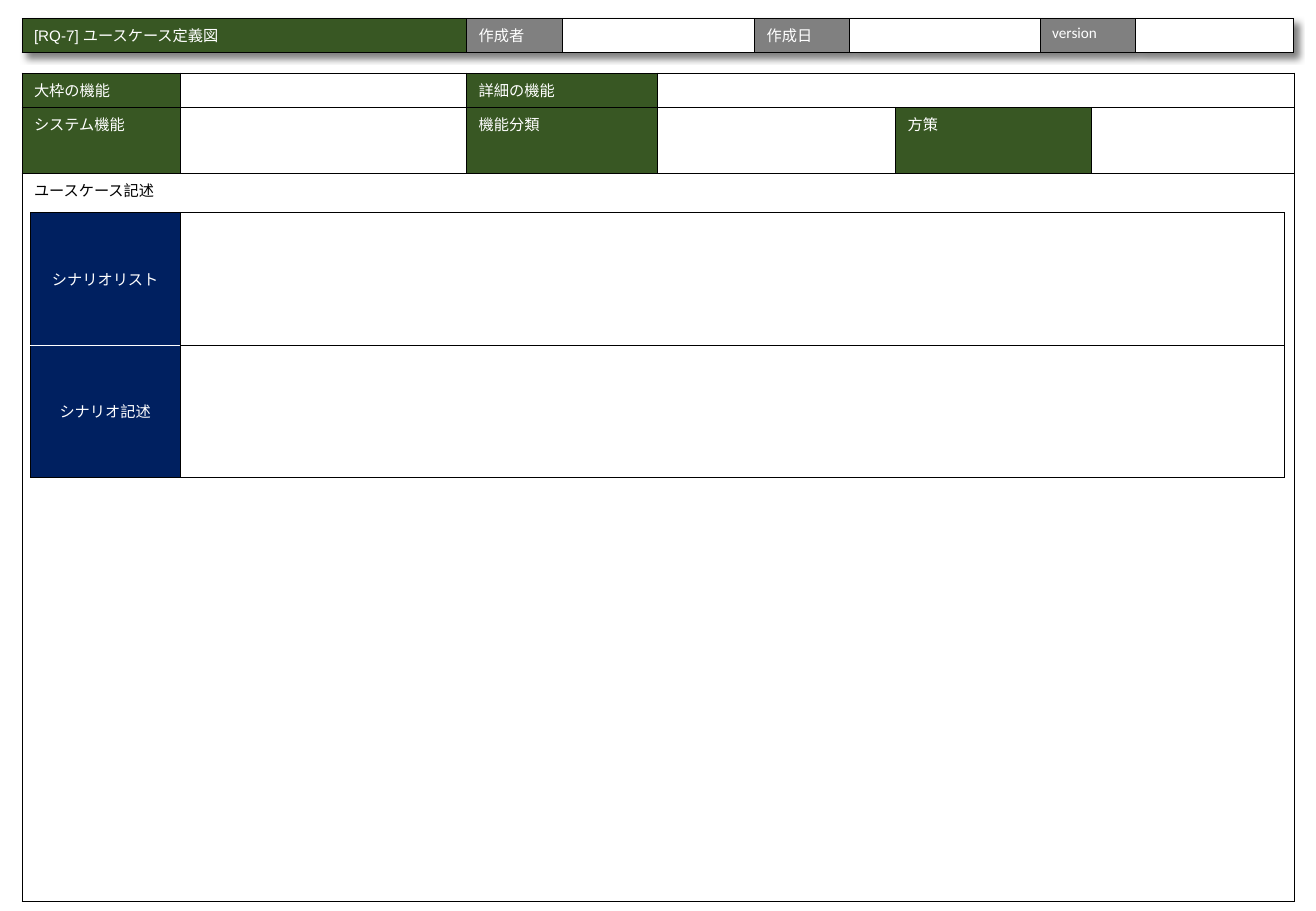
from lxml.etree import SubElement
from pptx import Presentation
from pptx.dml.color import RGBColor
from pptx.enum.text import MSO_ANCHOR, PP_ALIGN
from pptx.oxml import parse_xml
from pptx.oxml.ns import nsdecls, qn
from pptx.util import Inches, Pt

GREEN, GREY, NAVY = "385723", "808080", "002060"
WHITE, BLACK = "FFFFFF", "000000"
LINE_WIDTH = 0.25
TEXT_SIZE = 9
LEFT = 0.18
LABEL_ROW = 0.28
SCENARIO_ROW = 1.09


def color(value):
    return RGBColor.from_string(value)


def set_borders(cell, top=BLACK, bottom=BLACK):
    properties = cell._tc.get_or_add_tcPr()
    sides = {"a:lnL": BLACK, "a:lnR": BLACK, "a:lnT": top, "a:lnB": bottom}
    for side, value in sides.items():
        line = SubElement(properties, qn(side), w=str(Pt(LINE_WIDTH)))
        fill = SubElement(line, qn("a:solidFill"))
        SubElement(fill, qn("a:srgbClr"), val=value)


def fill_cell(cell, text="", fill=WHITE, font_name="Calibri", font_color=WHITE, **borders):
    set_borders(cell, **borders)
    cell.fill.solid()
    cell.fill.fore_color.rgb = color(fill)
    para = cell.text_frame.paragraphs[0]
    if text:
        para.add_run().text = text
    para.font.size = Pt(TEXT_SIZE)
    para.font.name = font_name
    para.font.color.rgb = color(font_color)


def add_grid(page, left, top, columns, rows):
    frame = page.shapes.add_table(
        len(rows), len(columns), Inches(left), Inches(top),
        Inches(sum(columns)), Inches(sum(rows)))
    table = frame.table
    table.first_row = table.horz_banding = False
    for column, width in zip(table.columns, columns):
        column.width = Inches(width)
    for row, height in zip(table.rows, rows):
        row.height = Inches(height)
    return table


def add_shadow(table):
    table._tbl.tblPr.insert(0, parse_xml(
        f'<a:effectLst {nsdecls("a")}>'
        '<a:outerShdw blurRad="50800" dist="50800" dir="2700000" algn="tl" rotWithShape="0">'
        '<a:srgbClr val="000000"><a:alpha val="50000"/></a:srgbClr>'
        '</a:outerShdw></a:effectLst>'))


def add_document_header(page):
    table = add_grid(page, LEFT, 0.15, [3.66, 0.79, 1.58, 0.78, 1.57, 0.78, 1.3], [LABEL_ROW])
    add_shadow(table)
    fill_cell(table.cell(0, 0), "[RQ-7] ユースケース定義図", GREEN, "Arial")
    for index, label in enumerate(["作成者", "作成日", "version"]):
        fill_cell(table.cell(0, 2 * index + 1), label, GREY)
        fill_cell(table.cell(0, 2 * index + 2))


def add_function_table(page):
    table = add_grid(page, LEFT, 0.6, [1.3, 2.36, 1.57, 1.96, 1.61, 1.67], [LABEL_ROW, 0.54, 6])
    labels = [
        ["大枠の機能", "", "詳細の機能", "", "", ""],
        ["システム機能", "", "機能分類", "", "方策", ""],
    ]
    for row, texts in enumerate(labels):
        for column, text in enumerate(texts):
            fill_cell(table.cell(row, column), text, GREEN if text else WHITE)
    for column in range(len(table.columns)):
        text = "" if column else "ユースケース記述"
        fill_cell(table.cell(2, column), text, font_color=BLACK)
    table.cell(0, 3).merge(table.cell(0, 5))
    table.cell(2, 0).merge(table.cell(2, 5))


def add_scenario_table(page):
    table = add_grid(page, 0.25, 1.75, [1.23, 9.09], [SCENARIO_ROW] * 2)
    labels = [("シナリオリスト", {"bottom": WHITE}), ("シナリオ記述", {"top": WHITE})]
    for row, (label, borders) in enumerate(labels):
        cell = table.cell(row, 0)
        fill_cell(cell, label, NAVY, "Noto Sans CJK JP", **borders)
        cell.vertical_anchor = MSO_ANCHOR.MIDDLE
        cell.text_frame.paragraphs[0].alignment = PP_ALIGN.CENTER
        fill_cell(table.cell(row, 1))


def main():
    deck = Presentation()
    deck.slide_width, deck.slide_height = Inches(10.83), Inches(7.5)
    page = deck.slides.add_slide(deck.slide_layouts[6])
    add_document_header(page)
    add_function_table(page)
    add_scenario_table(page)
    deck.save("out.pptx")


if __name__ == "__main__":
    main()
